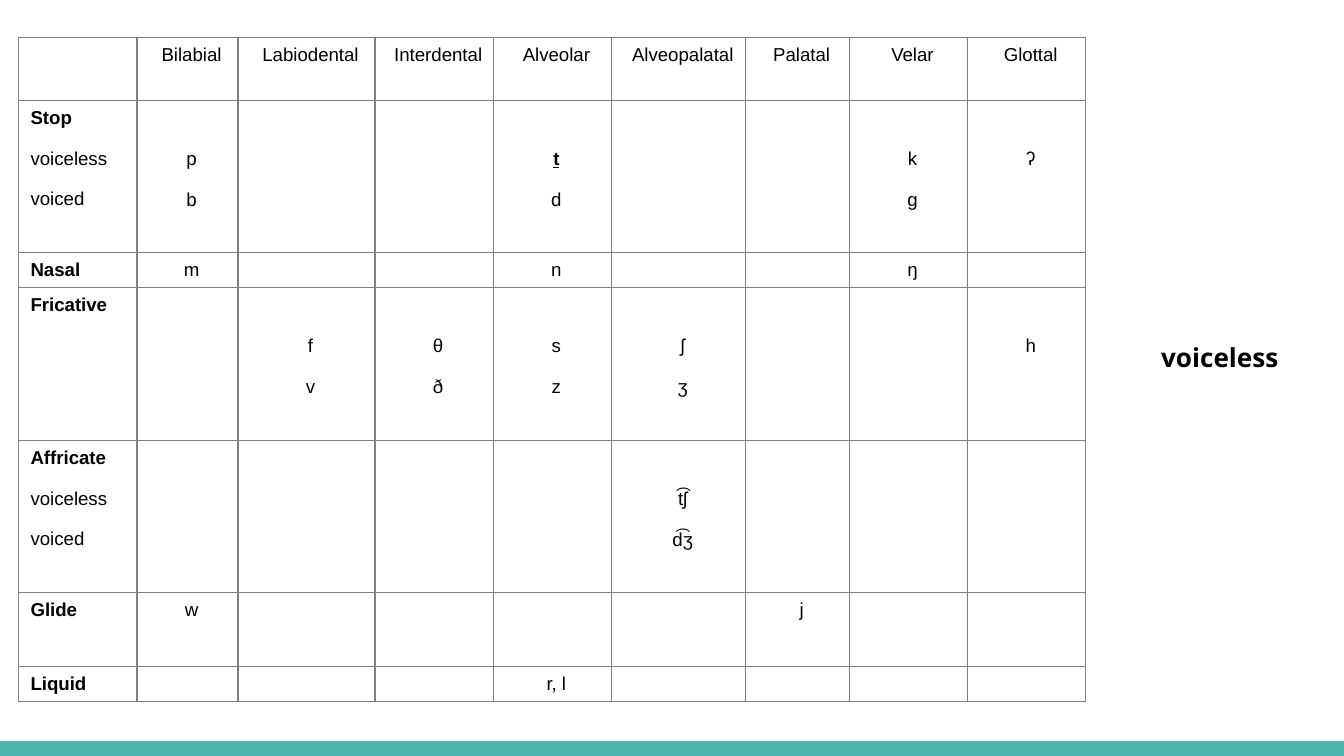
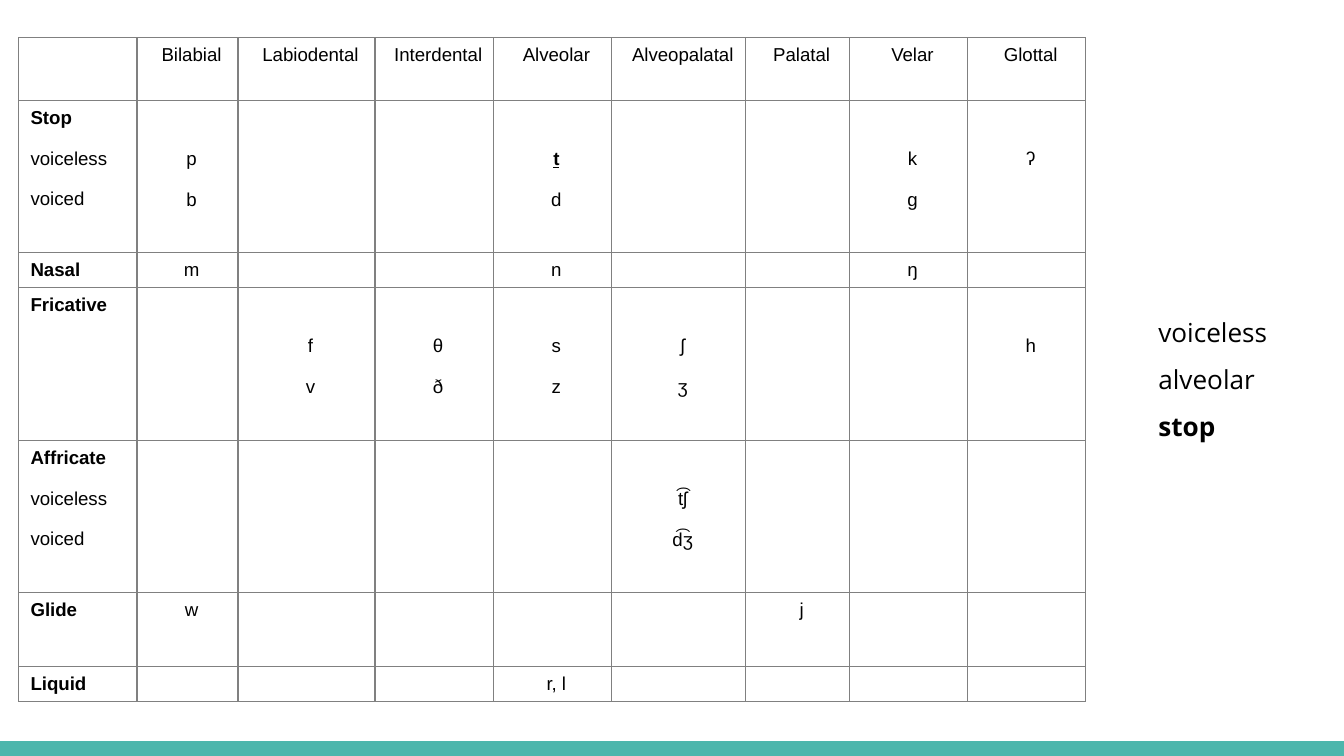
import pptx
import pptx.dml.color
import pptx.enum.shapes
import pptx.enum.text
import pptx.oxml
import pptx.oxml.ns
import pptx.util

Inches = pptx.util.Inches
Pt = pptx.util.Pt
RGBColor = pptx.dml.color.RGBColor
ALIGN = pptx.enum.text.PP_ALIGN

TEAL = RGBColor(0x4D, 0xB6, 0xAC)
GREY = RGBColor(0x80, 0x80, 0x80)
WHITE = RGBColor(0xFF, 0xFF, 0xFF)
BLACK = RGBColor(0x00, 0x00, 0x00)

COLUMN_WIDTHS = [0.88, 0.75, 1.02, 0.88, 0.88, 1, 0.77, 0.88, 0.88]
ROW_HEIGHTS = [0.47, 1.13, 0.26, 1.14, 1.13, 0.55, 0.26]
PLACES = ["Bilabial", "Labiodental", "Interdental", "Alveolar",
          "Alveopalatal", "Palatal", "Velar", "Glottal"]
VOICING = ["voiceless", "voiced"]
CONSONANTS = [
    (["Stop"] + VOICING, {"Bilabial": ["p", "b"], "Alveolar": ["t", "d"],
                          "Velar": ["k", "g"], "Glottal": ["ʔ"]}),
    (["Nasal"], {"Bilabial": ["m"], "Alveolar": ["n"], "Velar": ["ŋ"]}),
    (["Fricative"], {"Labiodental": ["f", "v"], "Interdental": ["θ", "ð"],
                     "Alveolar": ["s", "z"], "Alveopalatal": ["ʃ", "ʒ"],
                     "Glottal": ["h"]}),
    (["Affricate"] + VOICING, {"Alveopalatal": ["t͡ʃ", "d͡ʒ"]}),
    (["Glide"], {"Bilabial": ["w"], "Palatal": ["j"]}),
    (["Liquid"], {"Alveolar": ["r, l"]}),
]
VOICED_PAIR_ROWS = ("Stop", "Fricative", "Affricate")
TARGET_SOUND = "t"


class ConsonantDeck:
    table_font = "Arial"
    answer_font = "Open Sans"
    inset = Pt(2)
    label_line = Pt(22)
    band_height = Inches(0.11)

    def __init__(self):
        self.deck = pptx.Presentation()
        self.deck.slide_width = Inches(10)
        self.deck.slide_height = Inches(10) * 9 // 16
        self.page = None

    def add_page(self):
        self.page = self.deck.slides.add_slide(self.deck.slide_layouts[6])
        self.page.background.fill.solid()
        self.page.background.fill.fore_color.rgb = WHITE
        self.add_band()

    def add_band(self):
        band = self.page.shapes.add_shape(
            pptx.enum.shapes.MSO_SHAPE.RECTANGLE,
            Inches(0), self.deck.slide_height - self.band_height,
            self.deck.slide_width, self.band_height)
        band.shadow.inherit = False
        band.fill.solid()
        band.fill.fore_color.rgb = TEAL
        band.line.fill.background()

    def add_span(self, para, text, font, size, bold=False, underline=False):
        span = para.add_run()
        span.text = text
        span.font.name = font
        span.font.size = Pt(size)
        span.font.color.rgb = BLACK
        span.font.bold = bold
        span.font.underline = underline

    def add_paras(self, frame, lines):
        for index, line in enumerate(lines):
            para = frame.paragraphs[0] if index == 0 else frame.add_paragraph()
            yield index, para, line

    def style_cell(self, cell):
        cell.fill.solid()
        cell.fill.fore_color.rgb = WHITE
        cell.margin_left = cell.margin_right = self.inset
        cell.margin_top = cell.margin_bottom = self.inset
        properties = cell._tc.get_or_add_tcPr()
        for position, side in enumerate(("lnL", "lnR", "lnT", "lnB")):
            border = pptx.oxml.parse_xml(
                f'<a:{side} {pptx.oxml.ns.nsdecls("a")} w="{Pt(0.75)}">'
                f'<a:solidFill><a:srgbClr val="{GREY}"/></a:solidFill></a:{side}>')
            properties.insert(position, border)

    def fill_cell(self, cell, lines, align=ALIGN.CENTER, below_label=False):
        self.style_cell(cell)
        if not lines:
            ending = cell.text_frame.paragraphs[0]._p.get_or_add_endParaRPr()
            ending.set("sz", "1000")
            return
        if below_label:
            cell.margin_top = self.inset + self.label_line
        for index, para, line in self.add_paras(cell.text_frame, lines):
            para.alignment = align
            para.line_spacing = 1.15
            para.space_before = Pt(9 if index else 0)
            para._p.get_or_add_pPr().set("marL", str(Inches(0.06)))
            target = line == TARGET_SOUND
            heading = align == ALIGN.LEFT and index == 0
            self.add_span(para, line, self.table_font, 10, target or heading, target)

    def add_consonant_table(self):
        table = self.page.shapes.add_table(
            len(ROW_HEIGHTS), len(COLUMN_WIDTHS), Inches(0.14), Inches(0.28),
            Inches(sum(COLUMN_WIDTHS)), Inches(sum(ROW_HEIGHTS))).table
        table.first_row = table.horz_banding = False
        for column, width in zip(table.columns, COLUMN_WIDTHS):
            column.width = Inches(width)
        for row, height in zip(table.rows, ROW_HEIGHTS):
            row.height = Inches(height)
        self.fill_cell(table.cell(0, 0), [])
        for column, place in enumerate(PLACES, 1):
            self.fill_cell(table.cell(0, column), [place])
        for row, (labels, sounds) in enumerate(CONSONANTS, 1):
            self.fill_cell(table.cell(row, 0), labels, ALIGN.LEFT)
            for column, place in enumerate(PLACES, 1):
                self.fill_cell(table.cell(row, column), sounds.get(place, []),
                               below_label=labels[0] in VOICED_PAIR_ROWS)

    def add_answer(self, left, top, words, line_spacing):
        box = self.page.shapes.add_textbox(
            Inches(left), Inches(top), Inches(1.11), Inches(0.61))
        frame = box.text_frame
        frame.word_wrap = True
        frame.margin_left = frame.margin_right = Inches(0.1)
        frame.margin_top = frame.margin_bottom = Inches(0.1)
        for index, para, word in self.add_paras(frame, words):
            para.line_spacing = line_spacing
            newest = index == len(words) - 1
            self.add_span(para, word, self.answer_font, 14, newest)


def main():
    show = ConsonantDeck()
    answers = [
        (8.54, 2.44, ["voiceless"], 1.0),
        (8.52, 2.14, ["voiceless", "alveolar", "stop"], 1.5),
    ]
    for answer in answers:
        show.add_page()
        show.add_consonant_table()
        show.add_answer(*answer)
    show.deck.save("out.pptx")


if __name__ == "__main__":
    main()
